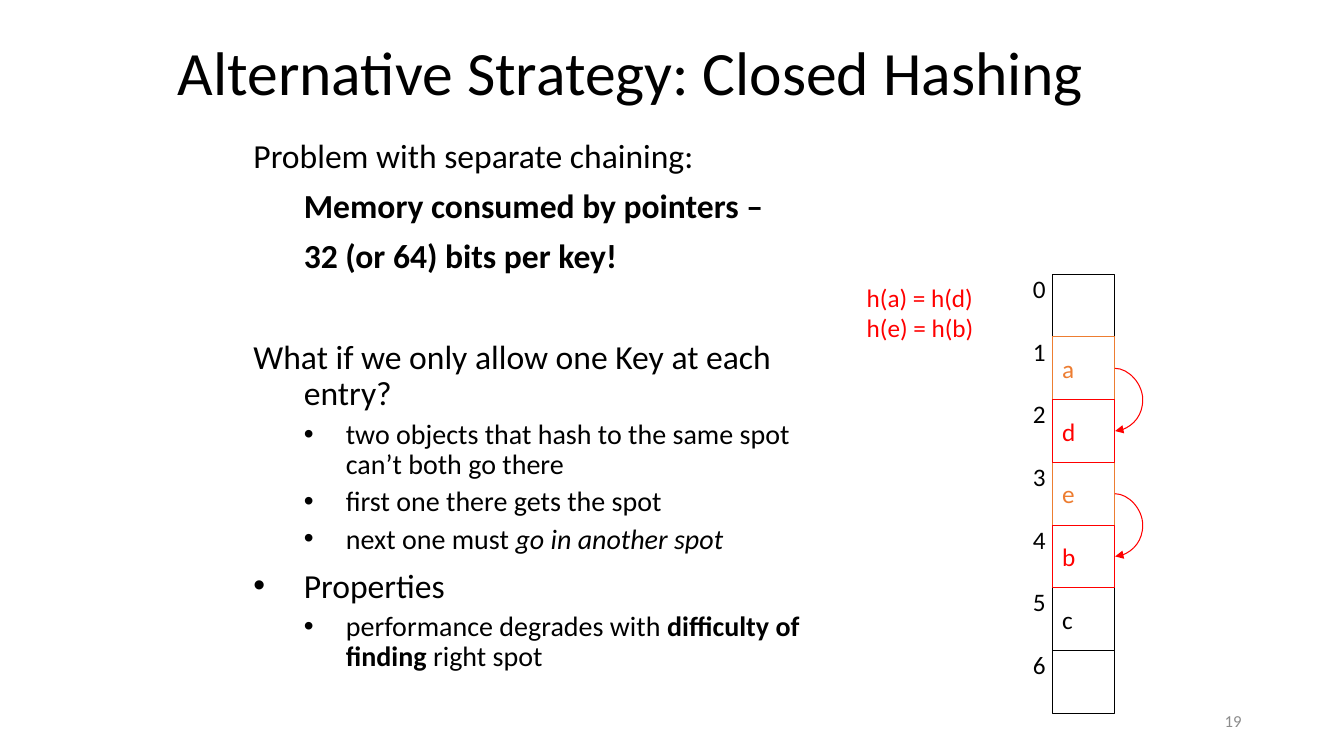
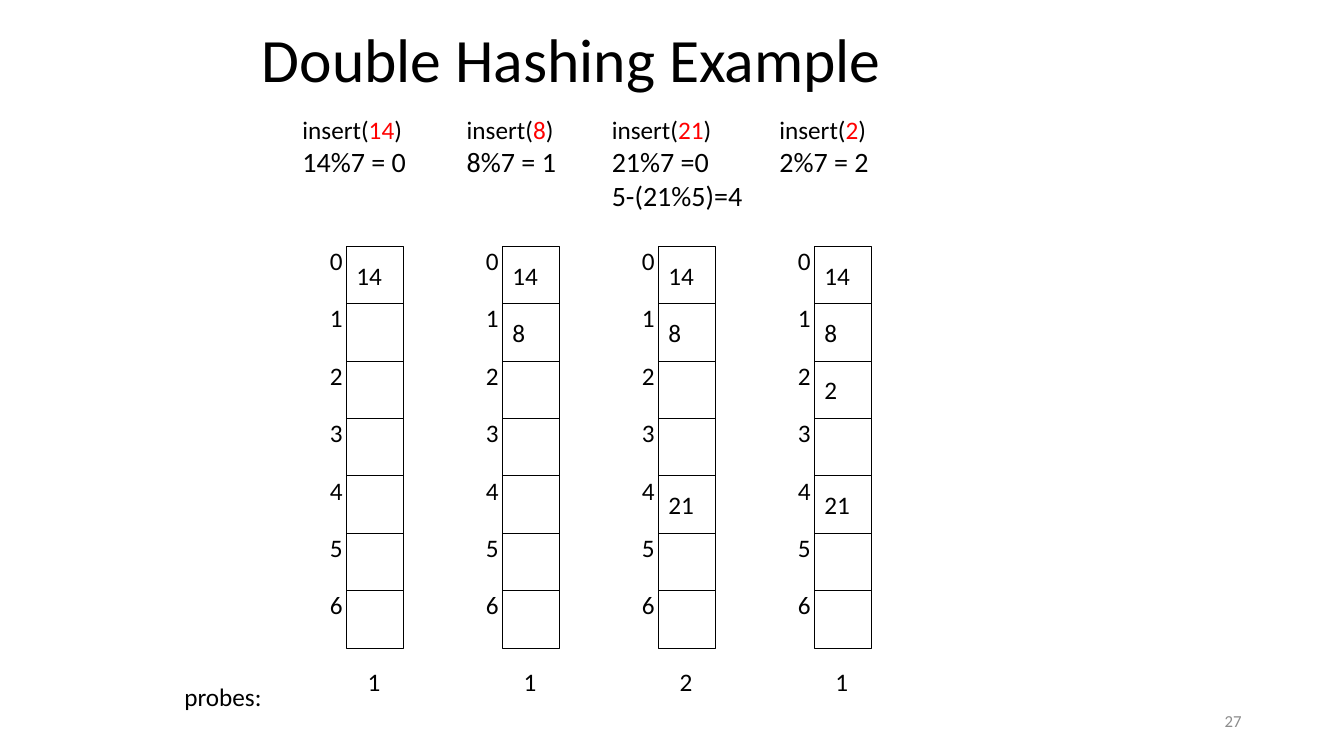
from lxml import etree
from pptx import Presentation
from pptx.dml.color import RGBColor
from pptx.enum import shapes, text
from pptx.oxml import ns
from pptx.util import Pt

COLORS = {"ink": "000000", "red": "FF0000", "orange": "ED7D31", "grey": "8C8C8C"}
FONT = "Calibri"

deck = Presentation()
deck.slide_width, deck.slide_height = Pt(960), Pt(540)


def place(page, area, lines, outline=None, anchor=text.MSO_ANCHOR.TOP, wrap=False):
    """Add a text box, or a rectangle if outlined; a line is (size, [(words, color, style)])."""
    area = [Pt(length) for length in area]
    if outline:
        box = page.shapes.add_shape(shapes.MSO_SHAPE.RECTANGLE, *area)
        box.shadow.inherit = False
        box.fill.background()
        box.line.color.rgb = RGBColor.from_string(COLORS[outline])
        box.line.width = Pt(0.75)
    else:
        box = page.shapes.add_textbox(*area)
    frame = box.text_frame
    frame.word_wrap = wrap
    frame.vertical_anchor = anchor
    for number, (size, spans) in enumerate(lines):
        para = frame.add_paragraph() if number else frame.paragraphs[0]
        para.alignment = text.PP_ALIGN.LEFT
        for words, color, style in spans:
            span = para.add_run()
            span.text = words
            span.font.name = FONT
            span.font.size = Pt(size)
            span.font.bold = style == "bold"
            span.font.italic = style == "italic"
            span.font.color.rgb = RGBColor.from_string(COLORS[color])
    return frame


def draw_buckets(page, left, top, side, gap, buckets):
    """Draw a column of numbered cells; red outlines lie on top."""
    for index, (key, color) in sorted(enumerate(buckets), key=lambda item: item[1][1] == "red"):
        y = top + index * side
        lines = [(18, [(key, color, "")])] if key else []
        place(page, (left, y, side, side), lines, color, text.MSO_ANCHOR.MIDDLE)
        place(page, (left - gap, y - 4.3, 24, 29), [(18, [(str(index), "ink", "")])])


# Shared title and page number
pages = []
for title, area, number in [
    ("Alternative Strategy: Closed Hashing", (120, 0, 720, 108), "19"),
    ("Double Hashing Example", (180, 0, 612, 90), "27"),
]:
    page = deck.slides.add_slide(deck.slide_layouts[6])
    pages.append(page)
    frame = place(page, area, [(44, [(title, "ink", "")])],
                  anchor=text.MSO_ANCHOR.MIDDLE, wrap=True)
    frame.paragraphs[0].line_spacing = 0.9
    frame = place(page, (678, 500.5, 216, 29), [(12, [(number, "grey", "")])],
                  anchor=text.MSO_ANCHOR.MIDDLE, wrap=True)
    frame.paragraphs[0].alignment = text.PP_ALIGN.RIGHT
closed, double = pages

# Closed hashing: outline, each entry with its level and spans
HANGING, INDENTED, BULLET, SUB_BULLET = range(4)
LEVELS = {  # size, left margin, first line indent, space before, bulleted
    HANGING: (24, 36, -36, 10, False),
    INDENTED: (24, 36, 0, 10, False),
    BULLET: (24, 36, -36, 10, True),
    SUB_BULLET: (20, 66, -30, 5, True),
}
outline = [
    (HANGING, [("Problem with separate chaining:", "")]),
    (INDENTED, [("Memory consumed by pointers –", "bold")]),
    (INDENTED, [("32 (or 64) bits per key!", "bold")]),
    (HANGING, [("What if we only allow one Key at each entry?", "")]),
    (SUB_BULLET, [("two objects that hash to the same spot can’t both go there", "")]),
    (SUB_BULLET, [("first one there gets the spot", "")]),
    (SUB_BULLET, [("next one must ", ""), ("go in another spot", "italic")]),
    (BULLET, [("Properties", "")]),
    (SUB_BULLET, [("performance degrades with ", ""), ("difficulty of finding", "bold"),
                  (" right spot", "")]),
]
lines = [(LEVELS[level][0], [(words, "ink", style) for words, style in spans])
         for level, spans in outline]
body = place(closed, (174, 96, 432, 408), lines, wrap=True)
for para, (level, spans) in zip(body.paragraphs, outline):
    size, margin, indent, before, bulleted = LEVELS[level]
    para.line_spacing = 0.9
    para.space_before = Pt(before)
    props = para._p.get_or_add_pPr()
    props.set("marL", str(Pt(margin)))
    props.set("indent", str(Pt(indent)))
    if bulleted:
        etree.SubElement(props, ns.qn("a:buFont")).set("typeface", "Arial")
        etree.SubElement(props, ns.qn("a:buChar")).set("char", "•")
body.paragraphs[3].space_before = Pt(46)

# Closed hashing: collisions and buckets
place(closed, (612, 198, 92, 51),
      [(18, [(words, "red", "")]) for words in ("h(a) = h(d)", "h(e) = h(b)")])
left, top, side = 751.6, 195.9, 44.8
draw_buckets(closed, left, top, side, 20.9, [
    ("", "ink"), ("a", "orange"), ("d", "red"), ("e", "orange"),
    ("b", "red"), ("c", "ink"), ("", "ink")])

# Arrows from each taken bucket to the next one
for index in (1, 3):
    x, y = left + side, top + (index + 0.5) * side
    arrow = closed.shapes.add_connector(
        shapes.MSO_CONNECTOR.CURVE, Pt(x), Pt(y), Pt(x + 0.13), Pt(y + side))
    arrow.line.color.rgb = RGBColor.from_string(COLORS["red"])
    arrow.line.width = Pt(0.75)
    props = arrow._element.spPr
    etree.SubElement(props.find(ns.qn("a:ln")), ns.qn("a:tailEnd")).set("type", "triangle")
    etree.SubElement(props, ns.qn("a:effectLst"))
    geometry = props.find(ns.qn("a:prstGeom"))
    guides = geometry.find(ns.qn("a:avLst"))
    if guides is None:
        guides = etree.SubElement(geometry, ns.qn("a:avLst"))
    bulge = etree.SubElement(guides, ns.qn("a:gd"))
    bulge.set("name", "adj1")
    bulge.set("fmla", "val 14000000")

# Double hashing: one column per insertion, each keeping the earlier keys
place(double, (124.6, 483, 71, 29), [(18, [("probes:", "ink", "")])])
buckets = [("", "ink")] * 7
inserts = [  # key, bucket, caption left and width, hash steps, probes
    ("14", 0, 209, 89, ["14%7 = 0"], "1"),
    ("8", 1, 326.3, 78.5, ["8%7 = 1"], "1"),
    ("21", 4, 429.9, 109, ["21%7 =0", "5-(21%5)=4"], "2"),
    ("2", 2, 549.6, 78.5, ["2%7 = 2"], "1"),
]
for column, (key, bucket, caption_left, width, steps, probes) in enumerate(inserts):
    buckets[bucket] = (key, "ink")
    left = 247.5 + column * 111.4
    caption = [(18, [("insert(", "ink", ""), (key, "red", ""), (")", "ink", "")])]
    caption += [(20, [(step, "ink", "")]) for step in steps]
    place(double, (caption_left, 78, width, 29 + 24 * len(steps)), caption)
    draw_buckets(double, left, 176, 41, 18.9, buckets)
    place(double, (left + 8, 472.3, 24, 29), [(18, [(probes, "ink", "")])])

deck.save("out.pptx")
